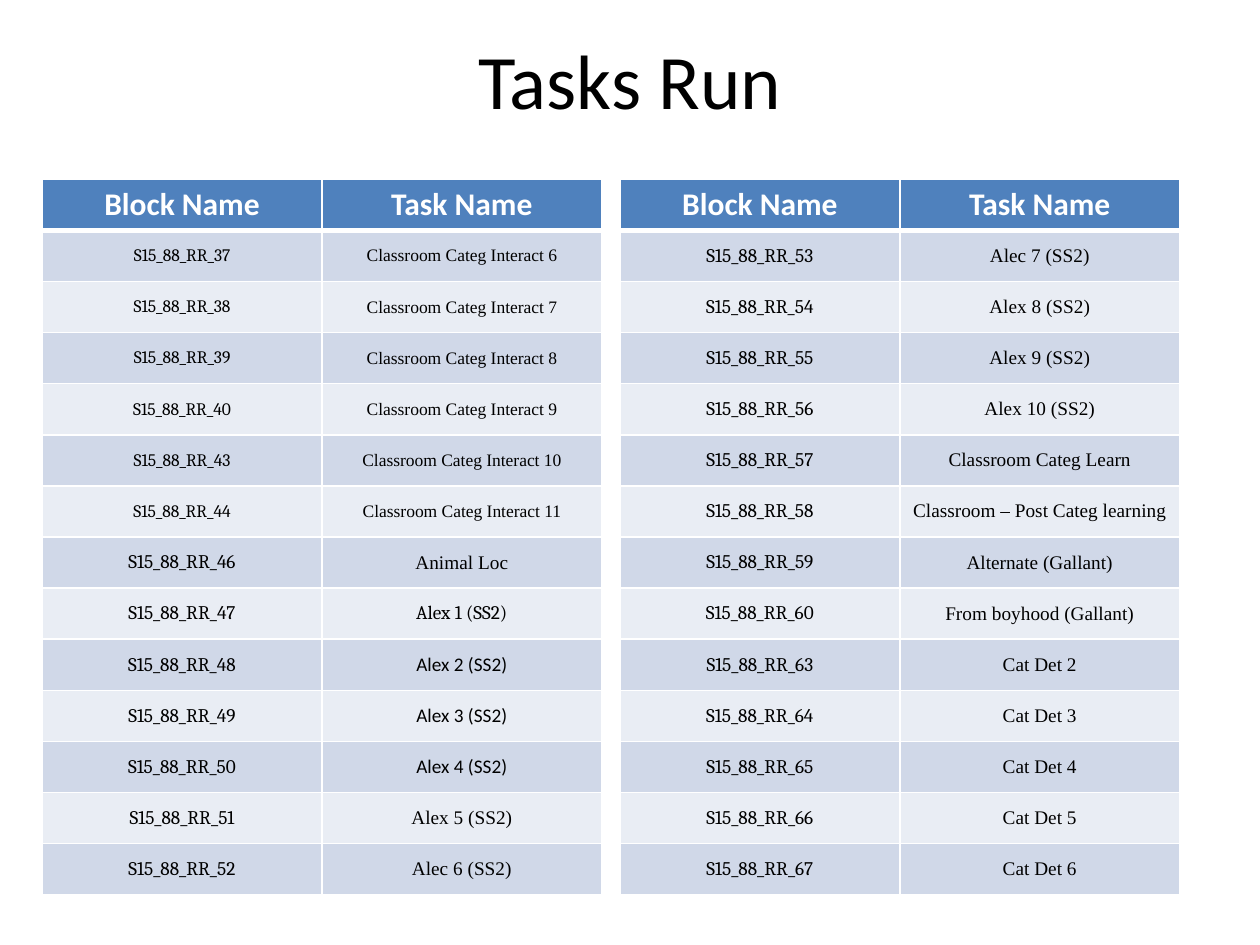
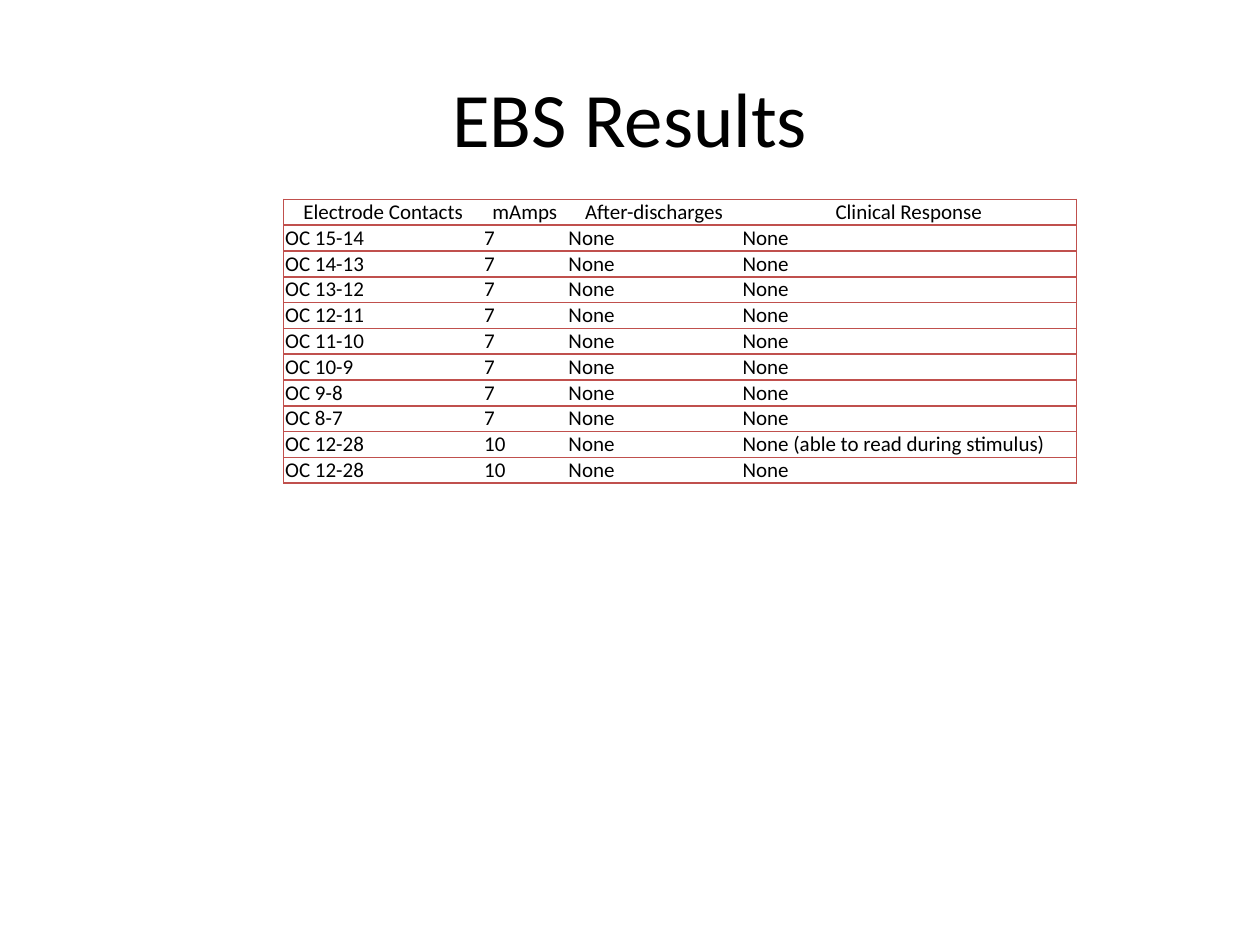
from dataclasses import dataclass

from lxml import etree
from pptx import Presentation
from pptx import util as u
from pptx.dml.color import RGBColor
from pptx.enum import text
from pptx.oxml.ns import qn


@dataclass(frozen=True)
class Theme:
    ink: str = "000000"
    paper: str = "FFFFFF"
    header: str = "4F81BD"
    bands: tuple = ("D0D8E8", "E9EDF4")
    rule: str = "C0504D"
    sans: str = "Calibri"
    block_font: str = "Cambria"
    task_font: str = "Times New Roman"
    title_size: int = 44
    header_size: int = 18
    result_size: int = 12
    task_size: int = 11
    small_task_size: int = 10


THEME = Theme()
CENTER, LEFT = text.PP_ALIGN.CENTER, text.PP_ALIGN.LEFT
TOP, MIDDLE = text.MSO_ANCHOR.TOP, text.MSO_ANCHOR.MIDDLE

# Content: block number, task name
FIRST_TASKS = [
    *zip((37, 38, 39, 40, 43, 44),
         (f"Classroom Categ Interact {n}" for n in range(6, 12))),
    (46, "Animal Loc"),
    *((46 + n, f"Alex {n} (SS2)") for n in range(1, 6)),
    (52, "Alec 6 (SS2)"),
]
SECOND_TASKS = [
    (53, "Alec 7 (SS2)"),
    *((46 + n, f"Alex {n} (SS2)") for n in range(8, 11)),
    (57, "Classroom Categ Learn"),
    (58, "Classroom – Post Categ learning"),
    (59, "Alternate (Gallant)"),
    (60, "From boyhood (Gallant)"),
    *((61 + n, f"Cat Det {n}") for n in range(2, 7)),
]
TASK_FONTS = {
    "Alex 1 (SS2)": THEME.block_font,
    **{f"Alex {n} (SS2)": THEME.sans for n in (2, 3, 4)},
}

RESULT_HEADS = ("Electrode Contacts", "mAmps", "After-discharges",
                "Clinical Response")
RESULTS = [
    *((f"OC {n}-{n - 1}", "7", "None", "None") for n in range(15, 7, -1)),
    ("OC 12-28", "10", "None", "None (able to read during stimulus)"),
    ("OC 12-28", "10", "None", "None"),
]


def set_values(target, values):
    for name, value in values.items():
        setattr(target, name, value)


def format_font(font, name, size, color, bold=False):
    set_values(font, {"name": name, "size": u.Pt(size), "bold": bold})
    font.color.rgb = RGBColor.from_string(color)


def add_titled_page(deck, title, top):
    """Add a title-only page with its title at the given height."""
    page = deck.slides.add_slide(deck.slide_layouts[5])
    box = page.shapes.title
    set_values(box, {"left": u.Cm(1.27), "top": u.Cm(top),
                     "width": u.Cm(22.86), "height": u.Cm(3.18)})
    box.text_frame.text = title
    box.text_frame.vertical_anchor = MIDDLE
    para = box.text_frame.paragraphs[0]
    para.alignment = CENTER
    format_font(para.font, THEME.sans, THEME.title_size, THEME.ink)
    return page


def add_grid(page, left, top, widths, row_height, row_count):
    """Add a table without automatic header or banding."""
    frame = page.shapes.add_table(
        row_count, len(widths), u.Cm(left), u.Cm(top),
        u.Cm(sum(widths)), u.Cm(row_height * row_count))
    table = frame.table
    set_values(table, {"first_row": False, "horz_banding": False})
    for column, width in zip(table.columns, widths):
        column.width = u.Cm(width)
    for row in table.rows:
        row.height = u.Cm(row_height)
    return table


def set_borders(cell, **sides):
    """Draw each side L, R, T, B as (colour, points), or clear it."""
    properties = cell._tc.get_or_add_tcPr()
    for side in "LRTB":
        line = etree.SubElement(properties, qn(f"a:ln{side}"))
        if side in sides:
            color, points = sides[side]
            line.set("w", str(u.Pt(points)))
            fill = etree.SubElement(line, qn("a:solidFill"))
            etree.SubElement(fill, qn("a:srgbClr")).set("val", color)
        else:
            etree.SubElement(line, qn("a:noFill"))


def fill_cell(cell, words, fill, font, borders, align=CENTER, anchor=MIDDLE,
              margins=(0.25, 0.13)):
    set_borders(cell, **borders)
    cell.fill.solid()
    cell.fill.fore_color.rgb = RGBColor.from_string(fill)
    side, end = map(u.Cm, margins)
    set_values(cell, {"text": words, "vertical_anchor": anchor,
                      "margin_left": side, "margin_right": side,
                      "margin_top": end, "margin_bottom": end})
    para = cell.text_frame.paragraphs[0]
    para.alignment = align
    format_font(para.font, *font)


def add_task_table(page, left, tasks):
    table = add_grid(page, left, 3.61, (5.64, 5.64), 1.03, len(tasks) + 1)
    borders = dict.fromkeys("LRTB", (THEME.paper, 1))
    thick = (THEME.paper, 3)

    # Header row
    for column, head in enumerate(("Block Name", "Task Name")):
        fill_cell(table.cell(0, column), head, THEME.header,
                  (THEME.sans, THEME.header_size, THEME.paper, True),
                  {**borders, "B": thick})

    # Banded task rows
    for row, (number, task) in enumerate(tasks, 1):
        small = task.startswith("Classroom Categ Interact")
        size = THEME.small_task_size if small else THEME.task_size
        row_borders = {**borders, "T": thick} if row == 1 else borders
        entries = ((f"S15_88_RR_{number}", THEME.block_font),
                   (task, TASK_FONTS.get(task, THEME.task_font)))
        for column, (words, font) in enumerate(entries):
            fill_cell(table.cell(row, column), words,
                      THEME.bands[(row - 1) % 2], (font, size, THEME.ink),
                      row_borders, margins=(0.18, 0))


def add_result_table(page):
    rows = [RESULT_HEADS, *RESULTS]
    table = add_grid(page, 5.72, 4.02, (4.01, 1.7, 3.51, 6.76), 0.52,
                     len(rows))
    outer_sides = {0: "LTB", len(RESULT_HEADS) - 1: "RTB"}
    for row, entries in enumerate(rows):
        align, anchor = (LEFT, MIDDLE) if row else (CENTER, TOP)
        for column, words in enumerate(entries):
            borders = dict.fromkeys(outer_sides.get(column, "TB"),
                                    (THEME.rule, 1))
            fill_cell(table.cell(row, column), words, THEME.paper,
                      (THEME.sans, THEME.result_size, THEME.ink),
                      borders, align, anchor, margins=(0.03, 0))


def main():
    deck = Presentation()
    set_values(deck, {"slide_width": u.Cm(25.4), "slide_height": u.Cm(19.05)})

    # Tasks in two tables side by side
    page = add_titled_page(deck, "Tasks Run", 0)
    for left, tasks in ((0.85, FIRST_TASKS), (12.5, SECOND_TASKS)):
        add_task_table(page, left, tasks)

    # Stimulation results
    add_result_table(add_titled_page(deck, "EBS Results", 0.76))

    deck.save("out.pptx")


if __name__ == "__main__":
    main()
